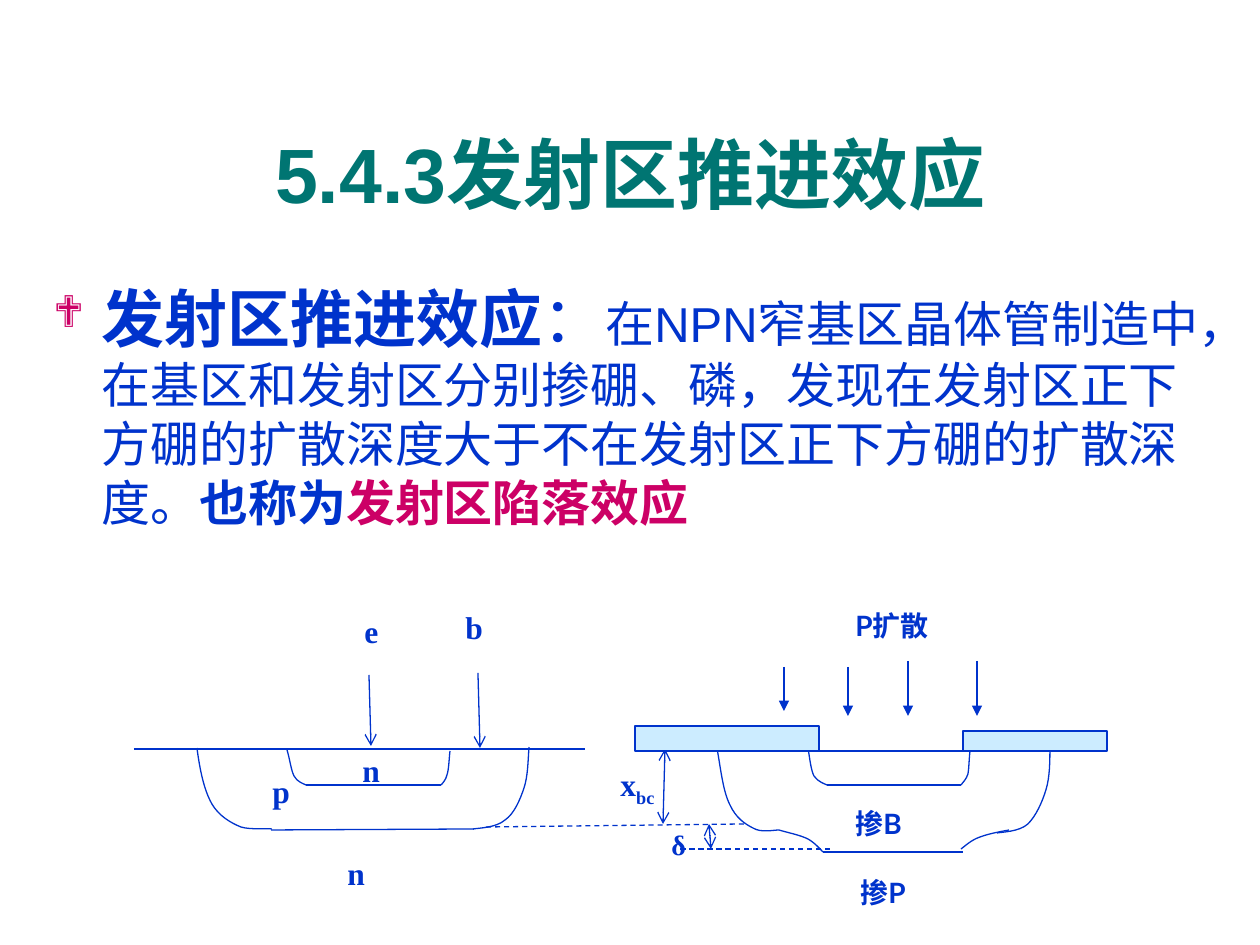
"""Build the slide on the emitter push effect with its two cross-sections."""
import lxml.etree
import pptx
import pptx.dml.color
import pptx.enum.dml
import pptx.enum.shapes
import pptx.enum.text
import pptx.oxml
import pptx.oxml.ns
import pptx.util

SCALE = 914400 / 126
BLUE, TEAL, PINK, OXIDE = "0033CC", "007572", "CC0066", "CCECFF"
SERIF, SANS, LABEL = "Times New Roman", "Arial", "Lato"

TITLE = ("5.4.3发射区推进效应", (42, 94, 1177, 158))
BODY_BOX = (41, 273, 1177, 536)
BODY = [
    ("发射区推进效应", 36, True, SANS, BLUE),
    ("：", 36, False, SANS, BLUE),
    ("在NPN窄基区晶体管制造中，在基区和发射区分别掺硼、磷，发现在发射区"
     "正下方硼的扩散深度大于不在发射区正下方硼的扩散深度。", 28, False, SANS, BLUE),
    ("也称为", 28, True, SERIF, BLUE),
    ("发射区陷落效应", 28, True, SERIF, PINK),
]
LABELS = [
    ("x", "bc", 18, SERIF, (608, 759, 72, 55)),
    ("δ", "", 16, SERIF, (659, 821, 39, 47)),
    ("e", "", 18, SERIF, (352, 606, 57, 50)),
    ("b", "", 18, SERIF, (453, 602, 73, 50)),
    ("n", "", 18, SERIF, (335, 848, 78, 50)),
    ("p", "", 18, SERIF, (260, 766, 89, 50)),
    ("n", "", 18, SERIF, (350, 745, 60, 50)),
    ("掺B", "", 16, LABEL, (843, 800, 100, 47)),
    ("P扩散", "", 16, LABEL, (843, 602, 123, 47)),
    ("掺P", "", 16, LABEL, (848, 869, 134, 47)),
]
OXIDES = [(635, 726, 184, 25), (963, 731, 144, 20)]
PLAIN_LINES = [
    (827, 785, 961, 785), (134, 749, 585, 749), (306, 785, 441, 785),
    (271, 830, 474, 829), (823, 852, 963, 852), (814, 751, 968, 751),
]
DASHED_LINES = [(486, 827, 745, 824), (830, 849, 675, 849)]
DEPTH_ARROWS = [(665, 749, 663, 824), (709, 824, 711, 849)]
CONTACT_ARROWS = [(369, 675, 371, 746), (478, 673, 480, 748)]
DIFFUSION_ARROWS = [
    (848, 667, 848, 716), (908, 661, 908, 716),
    (784, 667, 784, 711), (977, 661, 977, 716),
]
JUNCTION_CURVES = [
    [(808, 748), (810, 760), (811, 770), (814, 776), (818, 782), (825, 784), (827, 785)],
    [(970, 751), (969, 760), (969, 769), (968, 774), (966, 780), (963, 782), (961, 785)],
    [(717, 748), (721, 770), (723, 791), (730, 805), (736, 818), (745, 824), (753, 828),
     (761, 833), (774, 830), (779, 830)],
    [(1050, 747), (1050, 761), (1050, 777), (1046, 790), (1042, 803), (1036, 816),
     (1028, 824), (1019, 832), (1002, 832), (997, 833)],
    [(287, 750), (290, 760), (291, 770), (294, 776), (297, 782), (304, 784), (306, 785)],
    [(450, 751), (449, 760), (449, 769), (447, 775), (446, 780), (442, 784), (441, 785)],
    [(197, 748), (200, 770), (204, 790), (212, 804), (219, 816), (231, 823), (241, 827),
     (251, 830), (267, 828), (272, 829)],
    [(529, 747), (528, 761), (528, 776), (524, 788), (520, 800), (514, 814), (505, 820),
     (496, 828), (478, 828), (473, 829)],
    [(779, 830), (789, 833), (800, 835), (808, 839), (815, 843), (820, 849), (823, 852)],
    [(1009, 830), (998, 832), (988, 834), (980, 837), (971, 840), (964, 847), (961, 849)],
]


def px(*lengths):
    return [pptx.util.Emu(round(length * SCALE)) for length in lengths]


def color(value):
    return pptx.dml.color.RGBColor.from_string(value)


def add_element(parent, tag, **attributes):
    return lxml.etree.SubElement(parent, pptx.oxml.ns.qn(tag), attributes)


def set_font(font, size, bold, name, ink):
    font.size, font.bold, font.name = pptx.util.Pt(size), bold, name
    font.color.rgb = color(ink)


def add_span(para, text):
    span = para.add_run()
    span.text = text
    return span


def add_box(page, place, wrap=True):
    frame = page.shapes.add_textbox(*px(*place)).text_frame
    frame.word_wrap = wrap
    return frame


def set_line(line):
    line.color.rgb = color(BLUE)
    line.width = pptx.util.Pt(0.75)


def add_line(page, ends, dashed=False, head=None, tail=None):
    connector = page.shapes.add_connector(
        pptx.enum.shapes.MSO_CONNECTOR.STRAIGHT, *px(*ends))
    set_line(connector.line)
    if dashed:
        connector.line.dash_style = pptx.enum.dml.MSO_LINE.DASH
    stroke = connector.line._get_or_add_ln()
    for tag, kind in (("a:headEnd", head), ("a:tailEnd", tail)):
        if kind:
            add_element(stroke, tag, type=kind)
    add_element(connector._element.spPr, "a:effectLst")


def add_curve(page, knots):
    start, *rest = [px(*knot) for knot in knots]
    builder = page.shapes.build_freeform(*start)
    builder.add_line_segments(rest, close=False)
    curve = builder.convert_to_shape()
    segments = list(curve._element.iter(pptx.oxml.ns.qn("a:lnTo")))
    outline = segments[0].getparent()
    for first in range(0, len(segments), 3):
        bezier = add_element(outline, "a:cubicBezTo")
        for segment in segments[first:first + 3]:
            bezier.append(segment[0])
            outline.remove(segment)
    curve.shadow.inherit = False
    curve.fill.background()
    set_line(curve.line)


def add_title(page):
    text, place = TITLE
    frame = add_box(page, place)
    frame.vertical_anchor = pptx.enum.text.MSO_ANCHOR.MIDDLE
    para = frame.paragraphs[0]
    para.alignment = pptx.enum.text.PP_ALIGN.CENTER
    add_span(para, text)
    set_font(para.font, 44, True, SANS, TEAL)


def add_body(page):
    para = add_box(page, BODY_BOX).paragraphs[0]
    indent = px(48)[0]
    settings = para._p.get_or_add_pPr()
    settings.set("marL", str(indent))
    settings.set("indent", str(-indent))
    add_element(add_element(settings, "a:buClr"), "a:srgbClr", val=PINK)
    add_element(settings, "a:buSzPct", val="70000")
    add_element(settings, "a:buFont", typeface="Wingdings", charset="2")
    add_element(settings, "a:buChar", char="❖")
    for text, *style in BODY:
        set_font(add_span(para, text).font, *style)


def add_label(page, text, subscript, size, name, place):
    para = add_box(page, place, wrap=text != "δ").paragraphs[0]
    add_span(para, text)
    if subscript:
        add_span(para, subscript)._r.get_or_add_rPr().set("baseline", "-25000")
    set_font(para.font, size, True, name, BLUE)


def main():
    deck = pptx.Presentation()
    deck.slide_width, deck.slide_height = px(1260, 945)
    page = deck.slides.add_slide(deck.slide_layouts[6])
    add_title(page)
    add_body(page)
    for knots in JUNCTION_CURVES:
        add_curve(page, knots)
    for lines, look in (
        (PLAIN_LINES, {}),
        (DASHED_LINES, {"dashed": True}),
        (DEPTH_ARROWS, {"head": "arrow", "tail": "arrow"}),
        (CONTACT_ARROWS, {"tail": "arrow"}),
        (DIFFUSION_ARROWS, {"tail": "triangle"}),
    ):
        for ends in lines:
            add_line(page, ends, **look)
    for label in LABELS:
        add_label(page, *label)
    for place in OXIDES:
        oxide = page.shapes.add_shape(pptx.enum.shapes.MSO_SHAPE.RECTANGLE, *px(*place))
        oxide.shadow.inherit = False
        oxide.fill.solid()
        oxide.fill.fore_color.rgb = color(OXIDE)
        set_line(oxide.line)
    deck.save("out.pptx")


if __name__ == "__main__":
    main()
